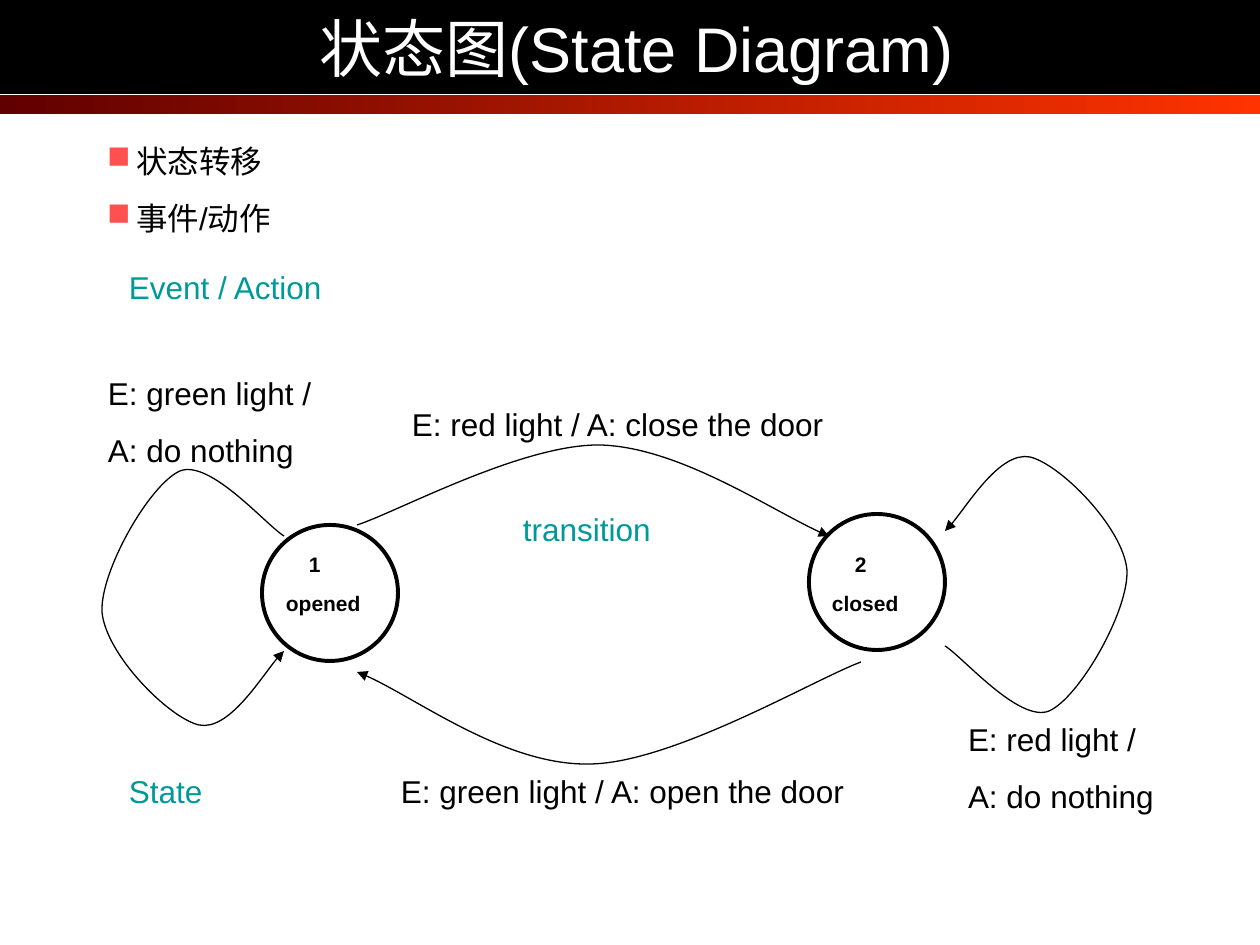
from lxml import etree
from pptx import Presentation
from pptx.dml.color import RGBColor
from pptx.enum.shapes import MSO_SHAPE as SHAPE
from pptx.enum.text import MSO_ANCHOR as ANCHOR, PP_ALIGN as ALIGN
from pptx.oxml import parse_xml
from pptx.oxml.ns import nsdecls, qn
from pptx.util import Pt

PX = 914400 / 126
FONT = "Arial"
COLORS = {"black": "000000", "white": "FFFFFF", "teal": "009999",
          "bullet": "FF5050", "bar_left": "600000", "bar_right": "FF3300"}

TITLE = "状态图(State Diagram)"
TOPICS = ["状态转移", "事件/动作"]

# number, name, left and top of the circle, left and top of its label
STATES = [("1", "opened", (262, 525), (210, 546)),
          ("2", "closed", (809, 514), (756, 546))]
CIRCLE = 136

# lines, box
EVENTS = [
    (["E: green light / A: open the door"], (325, 766, 557, 50)),
    (["E: red light / A: close the door"], (336, 399, 567, 50)),
    (["E: green light /", "A: do nothing"], (32, 368, 472, 108)),
    (["E: red light /", "A: do nothing"], (892, 714, 357, 108)),
]
KEYS = [("transition", (510, 504, 161, 50)),
        ("Event / Action", (116, 262, 399, 50)),
        ("State", (116, 766, 231, 50))]

# start point, then three points for each Bézier segment
CLOSING = [(357, 525), (397, 512), (522, 444), (600, 445),
           (679, 447), (781, 517), (829, 536)]
OPENING = [(861, 662), (815, 679), (673, 763), (590, 764),
           (505, 766), (406, 690), (357, 672)]
STAY_OPENED = [(284, 536), (266, 525), (210, 459), (180, 471),
               (150, 484), (100, 571), (102, 612),
               (106, 655), (169, 718), (199, 725),
               (229, 731), (270, 663), (284, 651)]
# the loop of state 2 is the loop of state 1 turned by half a circle
STAY_CLOSED = [(1229 - x, 1182 - y) for x, y in STAY_OPENED]


def px(n):
    return round(n * PX)


def rgb(name):
    return RGBColor.from_string(COLORS[name])


def add_bullet(p, indent):
    pPr = p._p.get_or_add_pPr()
    pPr.set("marL", str(px(indent)))
    pPr.set("indent", str(-px(indent)))
    pPr.append(parse_xml(f'<a:buClr {nsdecls("a")}><a:srgbClr val="{COLORS["bullet"]}"/></a:buClr>'))
    pPr.append(parse_xml(f'<a:buChar {nsdecls("a")} char="■"/>'))


def write(sp, lines, size=18, color="black", bold=False, align=ALIGN.LEFT,
          anchor=ANCHOR.TOP, before=11.2, margins=None, bullet=0, inset=(13, 13)):
    """Fill a shape with one paragraph a line; margins gives each line's left indent."""
    tf = sp.text_frame
    tf.word_wrap = True
    tf.vertical_anchor = anchor
    tf.margin_left, tf.margin_right = map(px, inset)
    tf.margin_top = tf.margin_bottom = px(6)
    for i, line in enumerate(lines):
        p = tf.paragraphs[0] if i == 0 else tf.add_paragraph()
        if bullet:
            add_bullet(p, bullet)
        elif margins:
            p._p.get_or_add_pPr().set("marL", str(px(margins[i])))
        p.alignment = align
        if i:
            p.space_before = Pt(before)
        r = p.add_run()
        r.text = line
        r.font.name, r.font.size, r.font.bold = FONT, Pt(size), bold
        r.font.color.rgb = rgb(color)


def add_text(slide, lines, box, **fmt):
    write(slide.shapes.add_textbox(*map(px, box)), lines, **fmt)


def add_plain(slide, kind, box):
    sp = slide.shapes.add_shape(kind, *map(px, box))
    sp.shadow.inherit = False
    return sp


def add_curve(slide, points):
    """Draw a smooth arrow through Bézier points."""
    builder = slide.shapes.build_freeform(*points[0], scale=PX)
    builder.add_line_segments(points[1:], close=False)
    sp = builder.convert_to_shape()
    sp.shadow.inherit = False
    sp.fill.background()
    sp.line.color.rgb = rgb("black")
    sp.line.width = Pt(0.75)
    etree.SubElement(sp.line._get_or_add_ln(), qn("a:tailEnd"), type="triangle")

    path = sp._element.find(".//" + qn("a:path"))
    steps = path.findall(qn("a:lnTo"))
    for i in range(0, len(steps), 3):
        curve = etree.SubElement(path, qn("a:cubicBezTo"))
        for step in steps[i:i + 3]:
            curve.append(step[0])
            path.remove(step)


def main():
    prs = Presentation()
    prs.slide_width, prs.slide_height = px(1260), px(945)
    slide = prs.slides.add_slide(prs.slide_layouts[6])

    bar = add_plain(slide, SHAPE.RECTANGLE, (0, 95, 1260, 19))
    bar.line.fill.background()
    bar.fill.gradient()
    bar.fill.gradient_angle = 0
    for stop, name in zip(bar.fill.gradient_stops, ("bar_left", "bar_right")):
        stop.color.rgb = rgb(name)

    band = add_plain(slide, SHAPE.RECTANGLE, (0, 0, 1260, 94))
    band.line.fill.background()
    band.fill.solid()
    band.fill.fore_color.rgb = rgb("black")
    write(band, [TITLE], size=36, color="white", align=ALIGN.CENTER,
          anchor=ANCHOR.MIDDLE, inset=(13, 0))

    for number, name, corner, label in STATES:
        circle = add_plain(slide, SHAPE.OVAL, (*corner, CIRCLE, CIRCLE))
        circle.fill.background()
        circle.line.color.rgb = rgb("black")
        circle.line.width = Pt(2.25)
        add_text(slide, [number, name], (*label, 262, 77), size=12, bold=True,
                 before=7.5, margins=(86, 63))

    for points in (CLOSING, OPENING, STAY_OPENED, STAY_CLOSED):
        add_curve(slide, points)
    for lines, box in EVENTS:
        add_text(slide, lines, box, margins=[63] * len(lines))
    for key, box in KEYS:
        add_text(slide, [key], box, color="teal", anchor=ANCHOR.MIDDLE)
    add_text(slide, TOPICS, (94, 136, 924, 108), bullet=29)

    prs.save("out.pptx")


if __name__ == "__main__":
    main()
